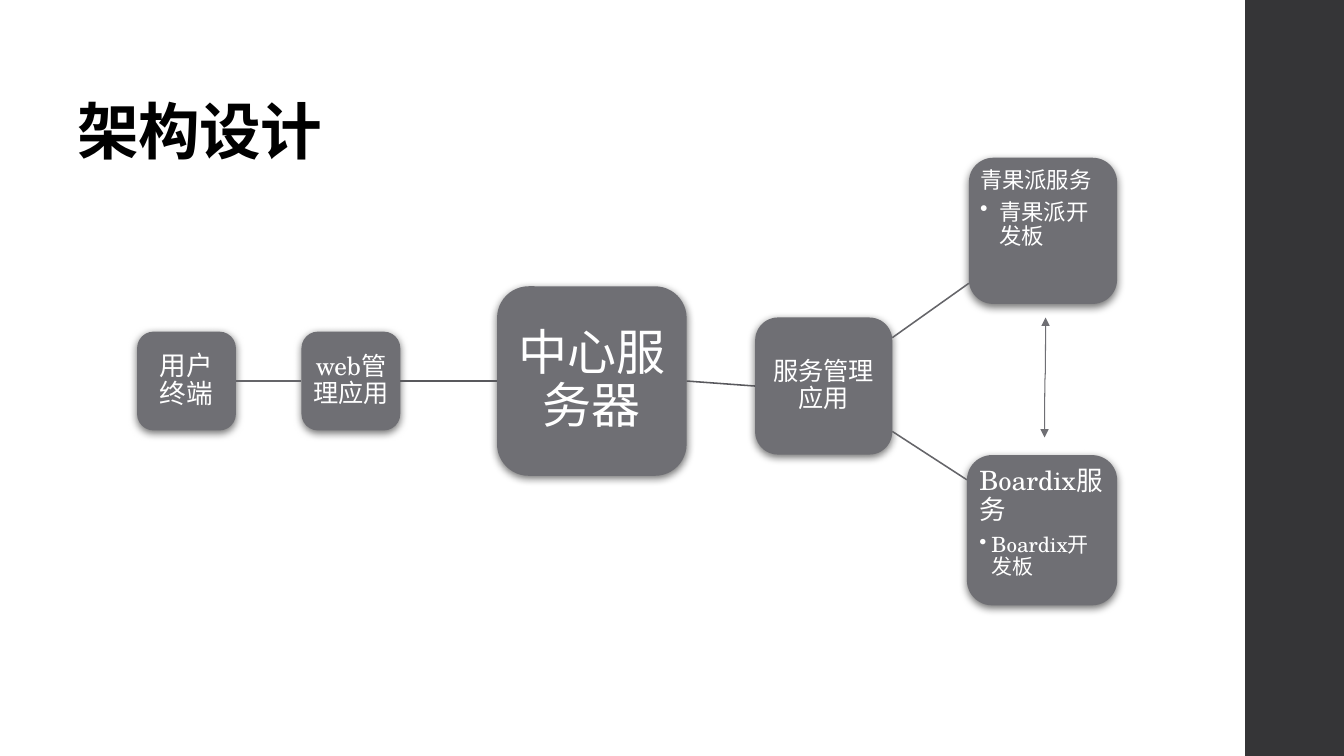
"""Build the architecture design slide: a chain of services ending in two boards."""
import pptx
import pptx.dml.color
import pptx.enum.shapes
import pptx.enum.text
import pptx.oxml
import pptx.util
from lxml import etree

WIDTH, HEIGHT = 13.33, 7.5
FONT = "TeX Gyre Schola"
GREY, WHITE, BLACK = "6F6F74", "FFFFFF", "000000"
TITLE = "架构设计"
SIDEBAR = (12.35, 0, WIDTH - 12.35, HEIGHT)
AXIS = 3.78

# name: (left, centre height, width, height, inset, size, text)
CHAIN = {
    "terminal": (1.36, AXIS, 0.98, 0.98, 0.05, 19, "用户终端"),
    "web": (2.99, AXIS, 0.98, 0.98, 0.05, 18, "web管理应用"),
    "server": (4.93, AXIS, 1.88, 1.88, 0.1, 35, "中心服务器"),
    "manager": (7.49, 3.83, 1.36, 1.36, 0.05, 18, "服务管理应用"),
}
# (left, centre height, width, height, inset, size, text, bullet size, indent, bullet)
BOARDS = [
    (9.59, 5.26, 1.49, 1.49, 0.05, 19, "Boardix服务", 15, 0.12, "Boardix开发板"),
    (9.61, 2.29, 1.47, 1.45, 0.04, 16, "青果派服务", 16, 0.19, "青果派开发板"),
]
JOINS = [("terminal", "web", "656569"), ("web", "server", "59595D"),
         ("server", "manager", "59595D")]
BRANCHES = [(8.85, 4.28, 9.59, 4.76), (8.85, 3.35, 9.61, 2.81)]
EXCHANGE = (9.77, 3.74, 10.96, 3.75)

KINDS = pptx.enum.shapes.MSO_SHAPE
CONNECTORS = pptx.enum.shapes.MSO_CONNECTOR
ALIGN = pptx.enum.text.PP_ALIGN
ANCHOR = pptx.enum.text.MSO_ANCHOR


def color(value):
    return pptx.dml.color.RGBColor.from_string(value)


def inches(values):
    return [pptx.util.Inches(value) for value in values]


def add_child(parent, tag, **attributes):
    return etree.SubElement(parent, pptx.oxml.ns.qn(tag), attributes)


def write(paragraph, text, size, ink=WHITE, align=ALIGN.LEFT, after=0):
    paragraph.text = text
    paragraph.alignment = align
    paragraph.line_spacing = 0.9
    paragraph.space_before = pptx.util.Pt(0)
    paragraph.space_after = pptx.util.Pt(after)
    paragraph.font.name = FONT
    paragraph.font.size = pptx.util.Pt(size)
    paragraph.font.color.rgb = color(ink)


def add_block(slide, kind, box, fill):
    block = slide.shapes.add_shape(kind, *inches(box))
    block.shadow.inherit = False
    block.fill.solid()
    block.fill.fore_color.rgb = color(fill)
    block.line.fill.background()
    return block


def add_node(slide, left, middle, width, height, inset, size, text, align, anchor):
    box = (left, middle - height / 2, width, height)
    node = add_block(slide, KINDS.ROUNDED_RECTANGLE, box, GREY)
    effects = node._element.spPr.find(pptx.oxml.ns.qn("a:effectLst"))
    shadow = add_child(effects, "a:outerShdw", blurRad=str(pptx.util.Pt(6)),
                       dist=str(pptx.util.Pt(2)), dir="5400000", rotWithShape="0")
    add_child(add_child(shadow, "a:srgbClr", val=BLACK), "a:alpha", val="55000")
    frame = node.text_frame
    frame.word_wrap = True
    frame.vertical_anchor = anchor
    margin = pptx.util.Inches(inset)
    frame.margin_left = frame.margin_right = margin
    frame.margin_top = frame.margin_bottom = margin
    write(frame.paragraphs[0], text, size, align=align, after=0.35 * size)
    return node


def add_board(slide, *board):
    *head, size, indent, text = board
    node = add_node(slide, *head, ALIGN.LEFT, ANCHOR.TOP)
    item = node.text_frame.add_paragraph()
    item.level = 1
    properties = item._p.get_or_add_pPr()
    step = pptx.util.Inches(indent)
    properties.set("marL", str(step))
    properties.set("indent", str(-step))
    add_child(properties, "a:buChar", char="•")
    write(item, text, size, after=0.15 * size)


def add_line(slide, kind, ends, ink, weight):
    line = slide.shapes.add_connector(kind, *inches(ends))
    line.line.color.rgb = color(ink)
    line.line.width = pptx.util.Pt(weight)
    add_child(line._element.spPr, "a:effectLst")
    return line


def main():
    deck = pptx.Presentation()
    deck.slide_width, deck.slide_height = inches((WIDTH, HEIGHT))
    slide = deck.slides.add_slide(deck.slide_layouts[5])

    title = slide.shapes.title
    title.left, title.top, title.width, title.height = inches((0.67, 0.41, 2.89, 1.31))
    title.text_frame.vertical_anchor = ANCHOR.BOTTOM
    heading = title.text_frame.paragraphs[0]
    write(heading, TITLE, 44, BLACK)
    heading.font.bold = True
    heading.runs[0]._r.get_or_add_rPr().set("spc", "-50")

    add_block(slide, KINDS.RECTANGLE, SIDEBAR, "353537")

    nodes = {name: add_node(slide, *node, ALIGN.CENTER, ANCHOR.MIDDLE)
             for name, node in CHAIN.items()}
    for board in BOARDS:
        add_board(slide, *board)

    for start, end, ink in JOINS:
        join = add_line(slide, CONNECTORS.STRAIGHT, (0, 0, 1, 1), ink, 1.1)
        join.begin_connect(nodes[start], 3)
        join.end_connect(nodes[end], 1)
    for ends in BRANCHES:
        add_line(slide, CONNECTORS.STRAIGHT, ends, "656569", 1.1)

    exchange = add_line(slide, CONNECTORS.CURVE, EXCHANGE, GREY, 0.75)
    exchange._element.spPr.xfrm.set("rot", "5400000")
    outline = exchange.line._get_or_add_ln()
    for end in ("a:headEnd", "a:tailEnd"):
        add_child(outline, end, type="triangle")

    deck.save("out.pptx")


if __name__ == "__main__":
    main()
